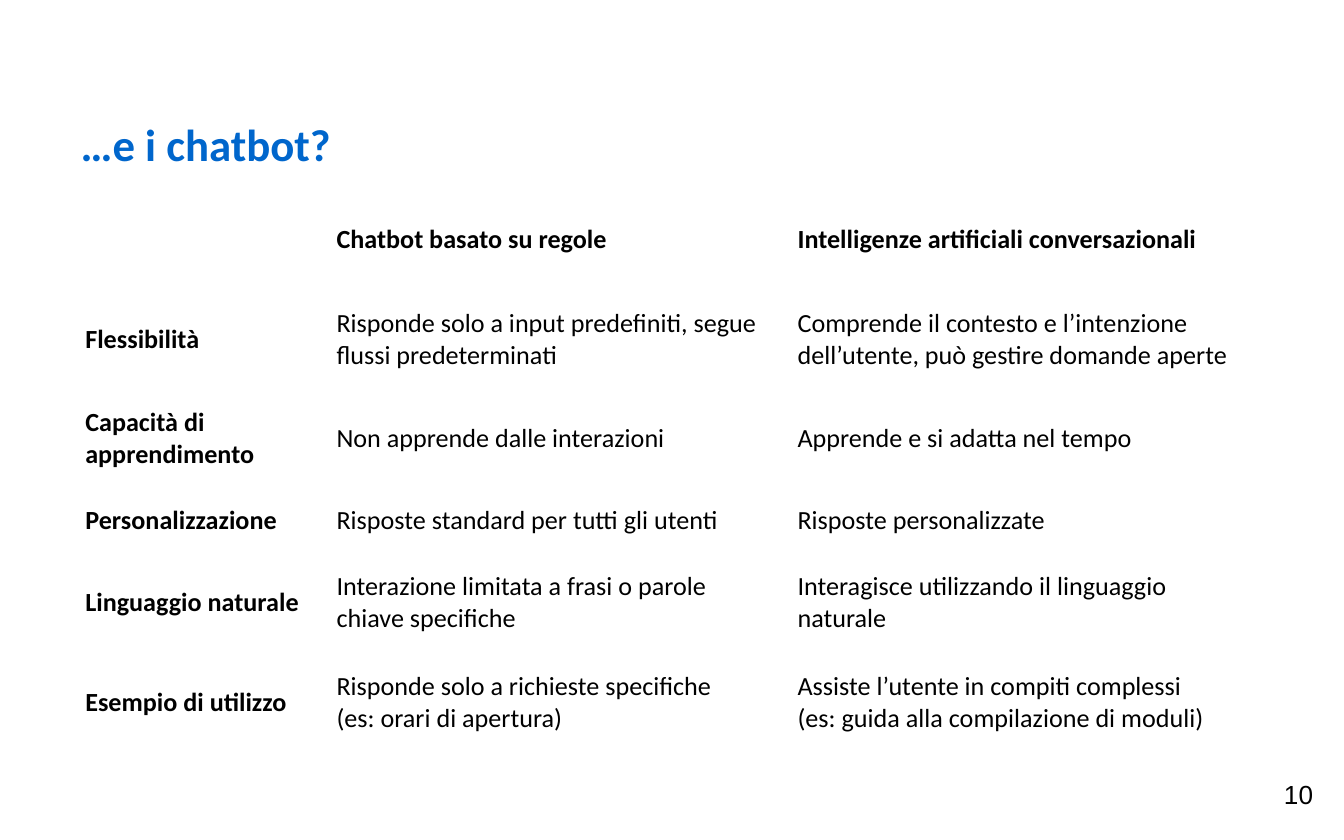
from typing import NamedTuple

from pptx import Presentation
from pptx.dml.color import RGBColor
from pptx.enum.text import MSO_ANCHOR, MSO_AUTO_SIZE, PP_ALIGN
from pptx.util import Pt

BLACK = "000000"
BLUE = "0066CC"


class Comparison(NamedTuple):
    aspect: str
    rule_based: str
    conversational: str
    height: float


COLUMN_WIDTHS = (134.6, 247, 249.8)
COMPARISONS = (
    Comparison("", "Chatbot basato su regole",
               "Intelligenze artificiali conversazionali", 44),
    Comparison("Flessibilità",
               "Risponde solo a input predefiniti, segue flussi predeterminati",
               "Comprende il contesto e l’intenzione dell’utente, può gestire domande aperte",
               62.5),
    Comparison("Capacità di apprendimento", "Non apprende dalle interazioni",
               "Apprende e si adatta nel tempo", 44),
    Comparison("Personalizzazione", "Risposte standard per tutti gli utenti",
               "Risposte personalizzate", 44),
    Comparison("Linguaggio naturale",
               "Interazione limitata a frasi o parole chiave specifiche",
               "Interagisce utilizzando il linguaggio naturale", 44),
    Comparison("Esempio di utilizzo",
               "Risponde solo a richieste specifiche \v(es: orari di apertura)",
               "Assiste l’utente in compiti complessi\n(es: guida alla compilazione di moduli)",
               62.5),
)


def color(value: str) -> RGBColor:
    return RGBColor.from_string(value)


def write(text_frame, text: str, *, size: float = 14, font: str = "Calibri",
          fill: str = BLACK, bold: bool = False, align=PP_ALIGN.LEFT) -> None:
    """Fill a text frame; a newline starts a paragraph, a vertical tab a line."""
    text_frame.text = text
    for paragraph in text_frame.paragraphs:
        paragraph.alignment = align
        for run in paragraph.runs:
            run.font.size = Pt(size)
            run.font.name = font
            run.font.bold = bold
            run.font.color.rgb = color(fill)


def format_frame(text_frame, anchor) -> None:
    text_frame.word_wrap = True
    text_frame.auto_size = MSO_AUTO_SIZE.NONE
    text_frame.vertical_anchor = anchor
    text_frame.margin_left = text_frame.margin_right = Pt(7.2)
    text_frame.margin_top = text_frame.margin_bottom = Pt(7.2)


def add_title(slide, text: str) -> None:
    title = slide.shapes.title
    title.left, title.top, title.width, title.height = Pt(36), Pt(55.4), Pt(547), Pt(38)
    format_frame(title.text_frame, MSO_ANCHOR.TOP)
    write(title.text_frame, text, size=24, fill=BLUE, bold=True)


def add_comparison_table(slide) -> None:
    total_height = sum(comparison.height for comparison in COMPARISONS)
    table = slide.shapes.add_table(
        len(COMPARISONS), len(COLUMN_WIDTHS), Pt(40.3), Pt(106.5),
        Pt(sum(COLUMN_WIDTHS)), Pt(total_height)).table
    table.first_row = table.horz_banding = False
    for column, width in zip(table.columns, COLUMN_WIDTHS):
        column.width = Pt(width)
    for row_index, comparison in enumerate(COMPARISONS):
        table.rows[row_index].height = Pt(comparison.height)
        for column_index, text in enumerate(comparison[:3]):
            cell = table.cell(row_index, column_index)
            cell.fill.background()
            cell.vertical_anchor = MSO_ANCHOR.MIDDLE
            cell.margin_left = cell.margin_right = Pt(5.4)
            cell.margin_top = cell.margin_bottom = Pt(3.6)
            write(cell.text_frame, text, bold=row_index == 0 or column_index == 0)


def add_page_number(slide, number: str) -> None:
    box = slide.shapes.add_textbox(Pt(667.4), Pt(408), Pt(43.2), Pt(34.6))
    format_frame(box.text_frame, MSO_ANCHOR.MIDDLE)
    write(box.text_frame, number, font="Arial", align=PP_ALIGN.RIGHT)


def main() -> None:
    presentation = Presentation()
    presentation.slide_width, presentation.slide_height = Pt(720), Pt(450)
    slide = presentation.slides.add_slide(presentation.slide_layouts[5])
    add_title(slide, "…e i chatbot?")
    add_comparison_table(slide)
    add_page_number(slide, "10")
    presentation.save("out.pptx")


if __name__ == "__main__":
    main()
